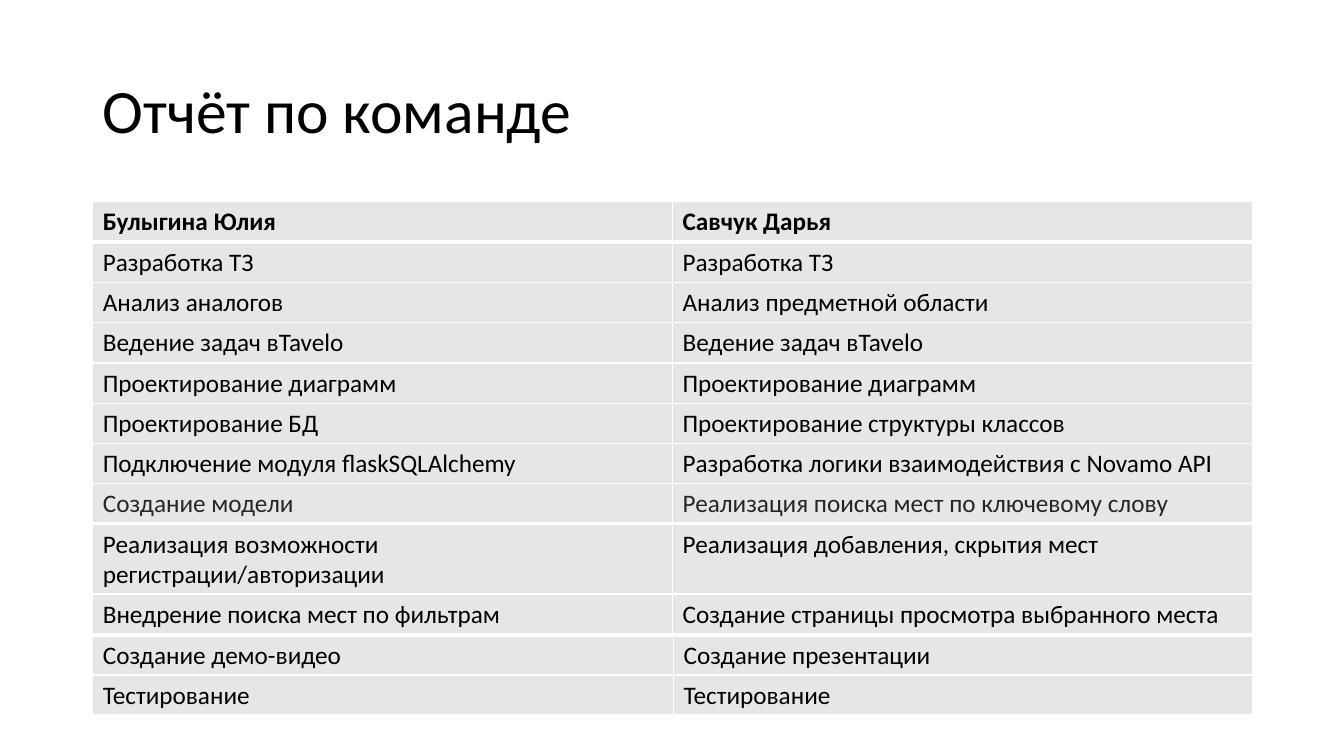
from lxml.etree import SubElement
from pptx import Presentation
from pptx.dml.color import RGBColor
from pptx.enum.text import MSO_ANCHOR
from pptx.oxml.ns import qn
from pptx.util import Inches, Pt

FONT, BLACK, SOFT, GREY, WHITE = "Calibri", "000000", "262626", "E7E6E6", "FFFFFF"
LEFT, WIDTH, ROW = 0.92, 11.5, 0.39
THIN, THICK = 1, 3

TITLE = "Отчёт по команде"
MAIN = [
    ("Булыгина Юлия", "Савчук Дарья"),
    ("Разработка ТЗ", "Разработка ТЗ"),
    ("Анализ аналогов", "Анализ предметной области"),
    ("Ведение задач вTavelo", "Ведение задач вTavelo"),
    ("Проектирование диаграмм", "Проектирование диаграмм"),
    ("Проектирование БД", "Проектирование структуры классов"),
    ("Подключение модуля flaskSQLAlchemy",
     "Разработка логики взаимодействия с Novamo API"),
]
# top, width of the first column, text colour, row
TASKS = [
    (4.8, 5.75, SOFT, ("Создание модели", "Реализация поиска мест по ключевому слову")),
    (5.2, 5.75, BLACK, ("Реализация возможности регистрации/авторизации",
                        "Реализация добавления, скрытия мест")),
    (6.3, 5.76, BLACK, ("Создание демо-видео", "Создание презентации")),
    (5.9, 5.75, BLACK, ("Внедрение поиска мест по фильтрам",
                        "Создание страницы просмотра выбранного места")),
    (6.7, 5.76, BLACK, ("Тестирование", "Тестирование")),
]


def paint(code):
    """Turn a hex string into a colour."""
    return RGBColor.from_string(code)


def write(frame, text, size, color=BLACK, bold=False):
    """Add one run to the first paragraph of a frame."""
    run = frame.paragraphs[0].add_run()
    run.text = text
    font = run.font
    font.name, font.size, font.bold = FONT, Pt(size), bold
    font.color.rgb = paint(color)


def edge(cell, top, low):
    """Draw white cell borders, with given top and bottom weights."""
    props = cell._tc.get_or_add_tcPr()
    for side, wide in zip("LRTB", (THIN, THIN, top, low)):
        line = SubElement(props, qn(f"a:ln{side}"), w=str(Pt(wide)))
        fill = SubElement(line, qn("a:solidFill"))
        SubElement(fill, qn("a:srgbClr"), val=WHITE)


def grid(slide, top, first, rows, color=BLACK):
    """Add a two-column table; a table of many rows has a bold header."""
    count = len(rows)
    frame = slide.shapes.add_table(count, 2, Inches(LEFT), Inches(top),
                                   Inches(WIDTH), Inches(ROW * count))
    table = frame.table
    table.first_row = table.horz_banding = False
    for col, wide in zip(table.columns, (first, WIDTH - first)):
        col.width = Inches(wide)
    for r, texts in enumerate(rows):
        above = THICK if r == 1 else THIN
        below = THICK if r == 0 else THIN
        for c, text in enumerate(texts):
            cell = table.cell(r, c)
            edge(cell, above, below)
            cell.fill.solid()
            cell.fill.fore_color.rgb = paint(GREY)
            write(cell.text_frame, text, 18, color, r == 0 and count > 1)


deck = Presentation()
deck.slide_width, deck.slide_height = Inches(13.33), Inches(7.5)
slide = deck.slides.add_slide(deck.slide_layouts[6])

title = slide.shapes.add_textbox(Inches(LEFT), Inches(0.4), Inches(WIDTH), Inches(1.45))
head = title.text_frame
head.word_wrap = True
head.vertical_anchor = MSO_ANCHOR.MIDDLE
head.paragraphs[0].line_spacing = 0.9
write(head, TITLE, 44)

grid(slide, 2, 5.75, MAIN)
for top, first, color, row in TASKS:
    grid(slide, top, first, [row], color)

deck.save("out.pptx")
